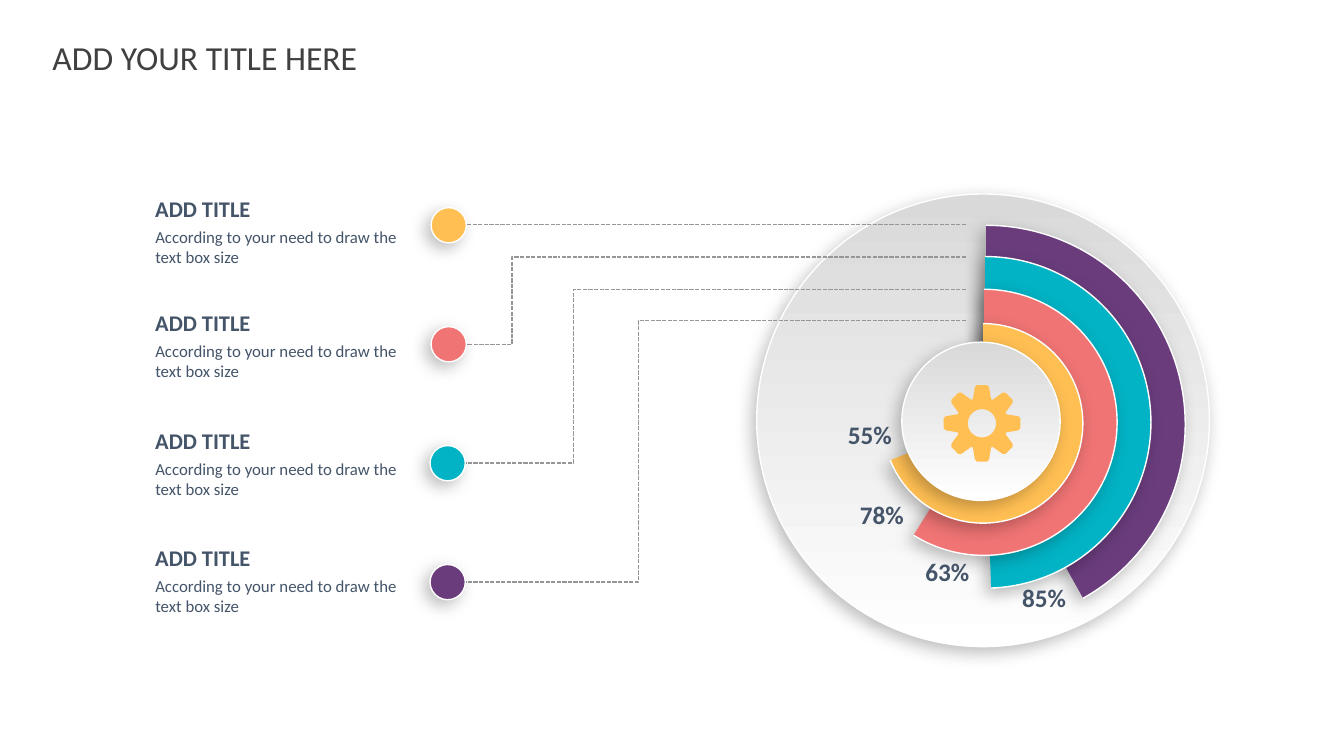
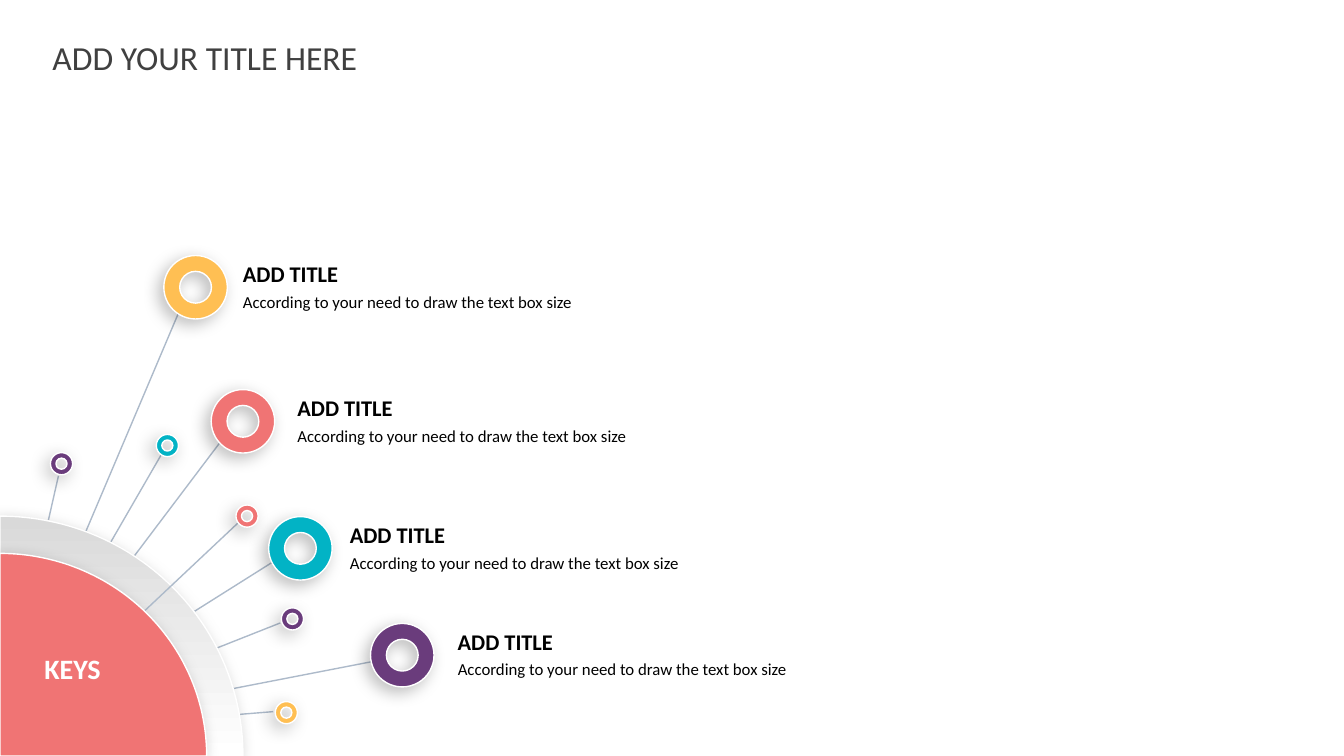
from math import cos, pi, sin

from lxml.etree import SubElement
from pptx import Presentation
from pptx.dml.color import RGBColor
from pptx.enum.dml import MSO_LINE
from pptx.enum.shapes import MSO_CONNECTOR as LINK, MSO_SHAPE as SHAPE
from pptx.enum.text import MSO_ANCHOR as ANCHOR, MSO_AUTO_SIZE as FIT, PP_ALIGN as ALIGN
from pptx.oxml.ns import qn
from pptx.util import Inches, Pt

FONT = "Calibri"
COLORS = {
    "white": "FFFFFF", "silver": "D9D9D9", "black": "000000",
    "title": "404040", "slate": "445469", "dash": "969696", "spoke": "ADBACA",
    "yellow": "FFBF53", "coral": "F07474", "teal": "02B3C5", "purple": "6A3C7C",
}
HEADING = "ADD YOUR TITLE HERE"
ITEM_TITLE = "ADD TITLE"
ITEM_TEXT = "According to your need to draw the text box size"


def color(name):
    return RGBColor.from_string(COLORS[name])


# Text
def write(frame, text, size, ink, bold=False, align=ALIGN.LEFT):
    frame.text = text
    paragraph = frame.paragraphs[0]
    paragraph.alignment = align
    font = paragraph.runs[0].font
    font.name, font.size, font.bold = FONT, Pt(size), bold
    font.color.rgb = color(ink)


def add_text(slide, box, text, size, ink, bold=False, align=ALIGN.LEFT, inset=True, wrap=True):
    frame = slide.shapes.add_textbox(*map(Inches, box)).text_frame
    frame.word_wrap = wrap
    frame.auto_size = FIT.SHAPE_TO_FIT_TEXT
    if not inset:
        frame.margin_left = frame.margin_right = 0
        frame.margin_top = frame.margin_bottom = 0
    write(frame, text, size, ink, bold, align)


def add_item(slide, left, top, ink, text_width, text_height):
    add_text(slide, (left, top, 2.14, 0.27), ITEM_TITLE, 16, ink, True, inset=False)
    add_text(slide, (left, top + 0.31, text_width, text_height), ITEM_TEXT, 12, ink, inset=False)


def add_titled_slide(deck):
    slide = deck.slides.add_slide(deck.slide_layouts.get_by_name("Title Only"))
    title = slide.shapes.title
    title.left, title.top, title.width, title.height = map(Inches, (0.42, 0.32, 4.65, 0.51))
    title.text_frame.vertical_anchor = ANCHOR.TOP
    title.text_frame.auto_size = FIT.NONE
    write(title.text_frame, HEADING, 24, "title")
    return slide


# Raised shapes: white edge and soft shadow
def paint(shape, fill):
    if fill == "gradient":
        shape.fill.gradient()
        shape.fill.gradient_angle = 90
        for stop, name in zip(shape.fill.gradient_stops, ("white", "silver")):
            stop.color.rgb = color(name)
    else:
        shape.fill.solid()
        shape.fill.fore_color.rgb = color(fill)
    shape.shadow.inherit = False


def raise_up(shape, fill):
    paint(shape, fill)
    shape.line.color.rgb = color("white")
    shape.line.width = Pt(1)
    effects = shape._element.spPr.find(qn("a:effectLst"))
    shadow = SubElement(effects, qn("a:outerShdw"), blurRad=str(Pt(12)), dist=str(Pt(5)),
                        dir=str(135 * 60000), algn="tr", rotWithShape="0")
    tone = SubElement(shadow, qn("a:srgbClr"), val=COLORS["black"])
    SubElement(tone, qn("a:alpha"), val="26000")


def add_round(slide, kind, center, size, fill):
    left, top = (Inches(value - size / 2) for value in center)
    shape = slide.shapes.add_shape(kind, left, top, Inches(size), Inches(size))
    raise_up(shape, fill)
    return shape


def add_arc(slide, center, size, start, end, fill):
    arc = add_round(slide, SHAPE.ARC, center, size, fill)
    # An angle is kept in 60000ths of a degree, an adjustment in 100000ths
    arc.adjustments[0], arc.adjustments[1] = start * 0.6, end * 0.6


# Outlines
def add_outline(slide, *contours):
    first, *others = [[(Inches(x), Inches(y)) for x, y in points] for points in contours]
    builder = slide.shapes.build_freeform(*first[0])
    builder.add_line_segments(first[1:])
    for points in others:
        builder.move_to(*points[0])
        builder.add_line_segments(points[1:])
    return builder.convert_to_shape()


def add_gear(slide, center, fill):
    cx, cy = center
    tooth = [(-0.09, -0.24), (-0.07, -0.36), (-0.05, -0.38),
             (0.05, -0.38), (0.07, -0.36), (0.09, -0.24)]
    turns = [k * pi / 4 for k in range(8)]
    rim = [(cx + x * cos(t) - y * sin(t), cy + x * sin(t) + y * cos(t))
           for t in turns for x, y in tooth]
    hole = [(cx + 0.14 * cos(k * pi / 30), cy - 0.14 * sin(k * pi / 30)) for k in range(60)]
    gear = add_outline(slide, rim, hole)
    paint(gear, fill)
    gear.line.fill.background()


def add_quarter(slide, width, height, fill):
    steps = [k * pi / 120 for k in range(61)]
    curve = [(width * sin(t), 7.5 - height * cos(t)) for t in steps]
    raise_up(add_outline(slide, curve + [(0, 7.5)]), fill)


# Lines
def add_line(slide, start, end, ink, kind=LINK.STRAIGHT, dashed=False):
    line = slide.shapes.add_connector(kind, *map(Inches, (*start, *end)))
    line.line.color.rgb = color(ink)
    line.line.width = Pt(1)
    if dashed:
        line.line.dash_style = MSO_LINE.SQUARE_DOT
    SubElement(line._element.spPr, qn("a:effectLst"))


def add_leader(slide, dot, elbow, level):
    """Dashed line from the dial to a dot, with an optional step at elbow."""
    joint = dot[0]
    if elbow:
        joint = 2 * elbow - dot[0]  # the step lies halfway
        add_line(slide, (joint, level), dot, "dash", LINK.ELBOW, True)
    add_line(slide, (9.58, level), (joint, level), "dash", dashed=True)


def build_dial(deck):
    slide = add_titled_slide(deck)
    add_round(slide, SHAPE.OVAL, (9.75, 4.17), 4.49, "gradient")

    # Legend: colour, text top, dot centre x, elbow x, leader level
    legend = [
        ("yellow", 1.94, 4.45, None, 2.23),
        ("coral", 3.07, 4.45, 5.08, 2.55),
        ("teal", 4.24, 4.44, 5.69, 2.87),
        ("purple", 5.40, 4.44, 6.33, 3.18),
    ]
    for row, (fill, text_top, dot_x, elbow, level) in enumerate(legend):
        dot_y = 2.235 + 1.18 * row
        add_leader(slide, (dot_x + 0.18, dot_y if elbow else level), elbow, level)
        add_round(slide, SHAPE.OVAL, (dot_x, dot_y), 0.35, fill)
        add_item(slide, 1.54, text_top, "slate", 2.55, 0.4)

    # Rings from the outside in: colour, centre, size, end angle
    rings = [
        ("purple", (9.78, 4.21), 3.95, 60.83),
        ("teal", (9.77, 4.19), 3.29, 87.9),
        ("coral", (9.76, 4.19), 2.64, 121.94),
        ("yellow", (9.75, 4.2), 1.98, 158.33),
    ]
    for fill, center, size, end in rings:
        add_arc(slide, center, size, 270, end, fill)

    for label, left, top in [("85%", 10.04, 5.73), ("63%", 9.08, 5.47),
                             ("78%", 8.43, 4.9), ("55%", 8.31, 4.11)]:
        add_text(slide, (left, top, 0.71, 0.4), label, 18, "slate", True, wrap=False)

    # Hub
    add_round(slide, SHAPE.OVAL, (9.73, 4.18), 1.57, "gradient")
    add_gear(slide, (9.74, 4.2), "yellow")


def build_keys(deck):
    slide = add_titled_slide(deck)
    for tip in [(2.71, 7.06), (0.58, 4.72), (1.6, 4.51), (2.78, 6.18), (1.79, 3.06),
                (2.22, 4.34), (2.73, 5.56), (3.71, 6.56)]:
        add_line(slide, tip, (0, 7.28), "spoke")

    # Hub, with one spoke between its two layers
    add_quarter(slide, 2.41, 2.38, "gradient")
    add_line(slide, (2.38, 5.17), (0, 7.41), "spoke")
    add_quarter(slide, 2.05, 2.01, "coral")
    add_text(slide, (0.09, 6.41, 1.26, 0.44), "KEYS", 20, "white", True, ALIGN.CENTER)

    small_rings = [("teal", 1.66, 4.42), ("coral", 2.45, 5.12), ("purple", 2.9, 6.14),
                   ("purple", 0.61, 4.6), ("yellow", 2.84, 7.07)]
    for fill, x, y in small_rings:
        add_round(slide, SHAPE.DONUT, (x, y), 0.22, fill)

    # Keys: colour, ring centre, text left
    keys = [("yellow", 1.94, 2.85, 2.41), ("coral", 2.41, 4.18, 2.95),
            ("teal", 2.98, 5.44, 3.47), ("purple", 3.99, 6.5, 4.54)]
    for fill, x, y, text_left in keys:
        add_round(slide, SHAPE.DONUT, (x, y), 0.63, fill)
        add_item(slide, text_left, y - 0.27, "black", 5.91, 0.2)


def main():
    deck = Presentation()
    deck.slide_width, deck.slide_height = Inches(13.33), Inches(7.5)
    build_dial(deck)
    build_keys(deck)
    deck.save("out.pptx")


if __name__ == "__main__":
    main()
